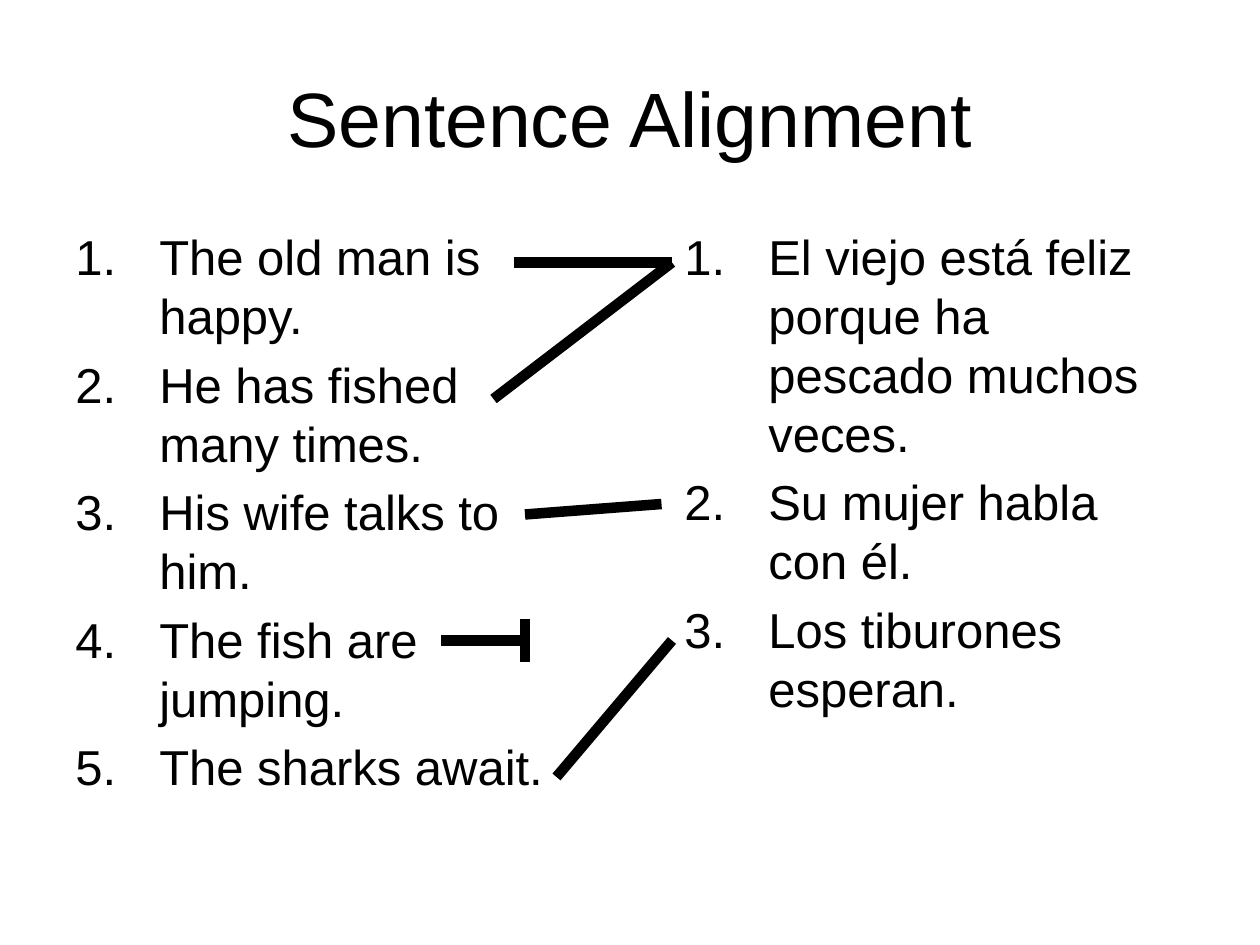
from lxml import etree
from pptx import Presentation, util as u
from pptx.dml.color import RGBColor
from pptx.enum import shapes, text
from pptx.oxml import ns

UNIT = u.Inches(1) // 12
COLORS = {"ink": "000000", "paper": "FFFFFF"}
ENGLISH = [
    "The old man is happy.",
    "He has fished many times.",
    "His wife talks to him.",
    "The fish are jumping.",
    "The sharks await.",
]
SPANISH = [
    "El viejo está feliz porque ha pescado muchos veces.",
    "Su mujer habla con él.",
    "Los tiburones esperan.",
]
LINKS = [
    (49, 25, 64, 25),
    (64, 25, 47, 38),
    (50, 49, 63, 48),
    (53, 74, 64, 61),
    (42, 61, 50, 61),
    (50, 59, 50, 63),
]


def grid(*cells):
    """Turn grid columns and rows into slide lengths."""
    return [round(cell * UNIT) for cell in cells]


def write(para, words, *, size, align=text.PP_ALIGN.LEFT, before=0, numbered=False):
    """Fill a paragraph with formatted text, numbered if asked."""
    para.alignment = align
    para.space_before = u.Pt(before)
    span = para.add_run()
    span.text = words
    span.font.name = "Arial"
    span.font.size = u.Pt(size)
    span.font.color.rgb = RGBColor.from_string(COLORS["ink"])
    if numbered:
        props = para._p.get_or_add_pPr()
        indent = grid(8)[0]
        props.set("marL", str(indent))
        props.set("indent", str(-indent))
        etree.SubElement(props, ns.qn("a:buFont"), typeface="Arial")
        etree.SubElement(props, ns.qn("a:buAutoNum"), type="arabicPeriod")


def add_frame(page, box, anchor):
    """Add a wrapping text box and return its text frame."""
    frame = page.shapes.add_textbox(*grid(*box)).text_frame
    frame.word_wrap = True
    frame.vertical_anchor = anchor
    return frame


def add_title(page, box, words):
    """Place the centred slide title in a box."""
    frame = add_frame(page, box, text.MSO_ANCHOR.MIDDLE)
    write(frame.paragraphs[0], words, size=44, align=text.PP_ALIGN.CENTER)


def add_sentences(page, box, sentences):
    """Place a numbered list of sentences in a box."""
    frame = add_frame(page, box, text.MSO_ANCHOR.TOP)
    for index, sentence in enumerate(sentences):
        para = frame.add_paragraph() if index else frame.paragraphs[0]
        write(para, sentence, size=28, before=5.6, numbered=True)


def add_links(page, links):
    """Draw the alignment strokes between the two lists."""
    for ends in links:
        link = page.shapes.add_connector(shapes.MSO_CONNECTOR.STRAIGHT, *grid(*ends))
        link.line.width = u.Pt(6)
        link.line.color.rgb = RGBColor.from_string(COLORS["ink"])
        etree.SubElement(link._element.spPr, ns.qn("a:effectLst"))


def main():
    """Build and save the sentence alignment slide."""
    deck = Presentation()
    deck.slide_width, deck.slide_height = grid(120, 90)
    page = deck.slides.add_slide(deck.slide_layouts[6])
    page.background.fill.solid()
    page.background.fill.fore_color.rgb = RGBColor.from_string(COLORS["paper"])
    add_title(page, (6, 3.6, 108, 15), "Sentence Alignment")
    for left, sentences in ((6, ENGLISH), (64, SPANISH)):
        add_sentences(page, (left, 21, 48, 59.4), sentences)
    add_links(page, LINKS)
    deck.save("out.pptx")


if __name__ == "__main__":
    main()
